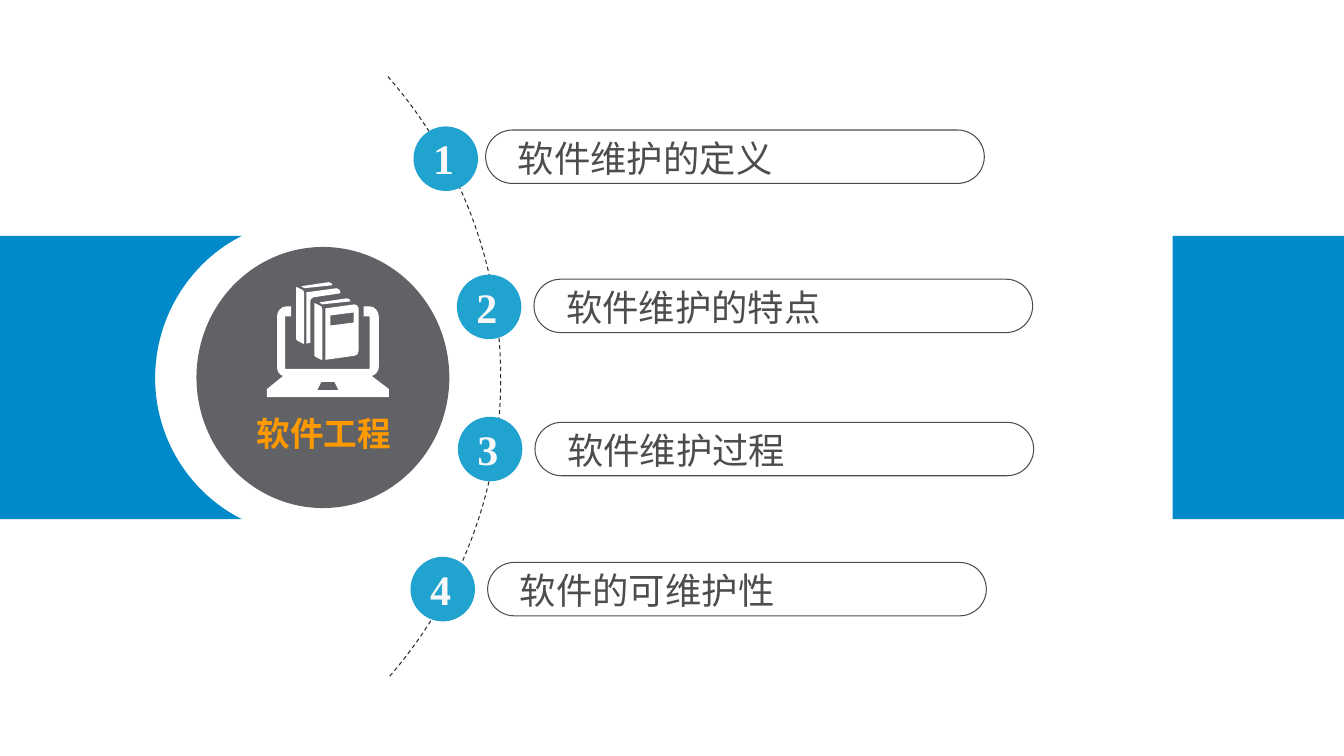
from lxml.etree import SubElement
from pptx import Presentation
from pptx.dml.color import RGBColor
from pptx.enum.dml import MSO_LINE
from pptx.enum.shapes import MSO_SHAPE as Kind
from pptx.enum.text import MSO_AUTO_SIZE as Fit
from pptx.oxml.ns import qn
from pptx.util import Inches, Pt

BLUE = RGBColor(0x00, 0x8A, 0xCA)
SKY = RGBColor(0x21, 0xA3, 0xD0)
GRAY = RGBColor(0x60, 0x62, 0x65)
DARK = RGBColor(0x4D, 0x4D, 0x4D)
BLACK = RGBColor(0x2E, 0x2C, 0x2C)
WHITE = RGBColor(0xFF, 0xFF, 0xFF)
PALE = RGBColor(0xF8, 0xF8, 0xF8)
ORANGE = RGBColor(0xFF, 0x99, 0x00)
SANS, SERIF = "Noto Sans CJK SC", "Times New Roman"

TITLE = "软件工程"
# label, label width, badge left and top, bar left and top
TOPICS = [
    ("软件维护的定义", 4.5, (4.11, 1.26), (4.82, 1.29)),
    ("软件维护的特点", 4.5, (4.54, 2.73), (5.3, 2.77)),
    ("软件维护过程", 4.56, (4.55, 4.14), (5.31, 4.19)),
    ("软件的可维护性", 4.72, (4.08, 5.53), (4.84, 5.58)),
]
BADGE, BAR_W, BAR_H = 0.63, 4.95, 0.53
BAND_TOP, BAND_H = 2.34, 2.81

# Outlines: a pair is a corner, six numbers are a Bezier curve.
ARC = [(3.85, 0.76), (4.55, 1.56, 4.97, 2.6, 4.97, 3.75),
       (4.97, 4.89, 4.55, 5.93, 3.85, 6.73)]
BAND = [(-0.02, 2.34), (2.4, 2.34), (1.9, 2.59, 1.54, 3.13, 1.54, 3.75),
        (1.54, 4.37, 1.9, 4.9, 2.4, 5.15), (-0.02, 5.15)]
BOOK_TOP = [(2.99, 2.84), (3.02, 2.86), (3.3, 2.83),
            (3.3, 2.81, 3.28, 2.8, 3.26, 2.8)]
BOOK_SPINE = [(2.95, 2.85), (3.01, 2.88), (3.01, 2.89, 3.02, 2.9, 3.02, 2.91),
              (3.02, 3.4), (3.02, 3.41, 3.01, 3.42, 3.01, 3.41), (2.95, 3.38),
              (2.94, 3.38, 2.94, 3.36, 2.94, 3.35), (2.94, 2.86),
              (2.94, 2.85, 2.94, 2.84, 2.95, 2.85)]
BACK_COVER = [(3.04, 2.9), (3.34, 2.86), (3.36, 2.86, 3.38, 2.88, 3.38, 2.9),
              (3.38, 2.91), (3.11, 2.95), (3.09, 2.96, 3.08, 2.97, 3.08, 2.99),
              (3.08, 3.4), (3.04, 3.41)]
FRONT_COVER = [(3.23, 3.06), (3.52, 3.02), (3.54, 3.02, 3.56, 3.04, 3.56, 3.06),
               (3.56, 3.48), (3.56, 3.51, 3.54, 3.53, 3.52, 3.53), (3.23, 3.57)]
COVER_LABEL = [(3.28, 3.13), (3.51, 3.1), (3.51, 3.2), (3.28, 3.23)]
TOUCHPAD = [(3.19, 3.79), (3.32, 3.79), (3.36, 3.87), (3.15, 3.87)]
LAPTOP = [(2.83, 3.14), (2.89, 3.14), (2.89, 3.04), (2.84, 3.04),
          (2.79, 3.04, 2.75, 3.09, 2.75, 3.14), (2.75, 3.64),
          (2.75, 3.68, 2.77, 3.72, 2.81, 3.73), (2.65, 3.86), (2.65, 3.94),
          (3.86, 3.94), (3.86, 3.86), (3.69, 3.73),
          (3.73, 3.72, 3.76, 3.68, 3.76, 3.64), (3.76, 3.14),
          (3.76, 3.09, 3.72, 3.04, 3.67, 3.04), (3.61, 3.04), (3.61, 3.14),
          (3.67, 3.14), (3.67, 3.66), (2.83, 3.66)]
BOOK_STEP = 0.18, 0.16


def shift(outline, dx, dy):
    return [tuple(n + (dy if i % 2 else dx) for i, n in enumerate(part))
            for part in outline]


def trace(outline):
    """List every corner and control point in EMU."""
    return [(Inches(part[i]), Inches(part[i + 1]))
            for part in outline for i in range(0, len(part), 2)]


def bend(shape, outlines):
    """Join each run of three lines that stands for a curve into a Bezier."""
    lines = iter(list(shape._element.iter(qn("a:lnTo"))))
    for outline in outlines:
        for part in outline[1:]:
            curve = next(lines)
            if len(part) == 6:
                curve.tag = qn("a:cubicBezTo")
                for _ in range(2):
                    line = next(lines)
                    curve.append(line[0])
                    line.getparent().remove(line)


def paint(shape, fill=None, line=None, width=0.75):
    shape.shadow.inherit = False
    if fill is None:
        shape.fill.background()
    else:
        shape.fill.solid()
        shape.fill.fore_color.rgb = fill
    if line is None:
        shape.line.fill.background()
    else:
        shape.line.color.rgb = line
        shape.line.width = Pt(width)
    return shape


def add_shape(kind, x, y, w, h, fill=None, line=None):
    box = map(Inches, (x, y, w, h))
    return paint(slide.shapes.add_shape(kind, *box), fill, line)


def add_free(outlines, fill=None, line=None, width=0.75, close=True):
    first, *rest = map(trace, outlines)
    pen = slide.shapes.build_freeform(*first[0])
    pen.add_line_segments(first[1:], close=close)
    for points in rest:
        pen.move_to(*points[0])
        pen.add_line_segments(points[1:], close=close)
    shape = pen.convert_to_shape()
    # A closed contour ends with a line back to its start
    ends = [o + [o[0]] if close else o for o in outlines]
    count = len(list(shape._element.iter(qn("a:lnTo"))))
    plain = sum(len(points) - 1 for points in (first, *rest))
    bend(shape, outlines if count == plain else ends)
    return paint(shape, fill, line, width)


def add_text(text, x, y, w, h, size, name, color, bold=False, wrap=True):
    box = slide.shapes.add_textbox(*map(Inches, (x, y, w, h)))
    frame = box.text_frame
    frame.word_wrap, frame.auto_size = wrap, Fit.SHAPE_TO_FIT_TEXT
    frame.text = text
    run = frame.paragraphs[0].runs[0]
    font = run.font
    font.size, font.bold, font.name = Pt(size), bold, name
    font.color.rgb = color
    # East Asian glyphs need their own typeface entry
    SubElement(run._r.get_or_add_rPr(), qn("a:ea")).set("typeface", name)
    return box


deck = Presentation()
deck.slide_width, deck.slide_height = Inches(13.34), Inches(7.5)
slide = deck.slides.add_slide(deck.slide_layouts[6])
group = slide.shapes.add_group_shape

add_shape(Kind.RECTANGLE, 11.64, BAND_TOP, 1.7, BAND_H, BLUE)
arc = add_free([ARC], line=BLACK, width=0, close=False)
arc.line.dash_style = MSO_LINE.DASH

hub = add_shape(Kind.OVAL, 1.95, 2.45, 2.51, 2.59, GRAY)
icon = add_free([TOUCHPAD, BOOK_TOP, BOOK_SPINE, shift(BOOK_TOP, *BOOK_STEP),
                 shift(BOOK_SPINE, *BOOK_STEP), FRONT_COVER, COVER_LABEL,
                 BACK_COVER, LAPTOP], WHITE)
title = add_text(TITLE, 2.45, 4.05, 1.6, 0.5, 24, SANS, ORANGE, bold=True)
group([hub, icon, title])
add_free([BAND], BLUE)

for number, (label, width, (bx, by), (x, y)) in enumerate(TOPICS, 1):
    bar = add_shape(Kind.ROUNDED_RECTANGLE, x, y, BAR_W, BAR_H, line=DARK)
    bar.adjustments[0] = 0.5
    text = add_text(label, x + 0.22, y + 0.01, width, 0.54, 26, SANS, DARK)
    group([bar, text])
    badge = add_shape(Kind.OVAL, bx, by, BADGE, BADGE, SKY, SKY)
    digit = add_text(str(number), bx + 0.09, by + 0.01, 0.41, 0.6, 30, SERIF,
                     PALE, bold=True, wrap=False)
    group([badge, digit])

deck.save("out.pptx")
